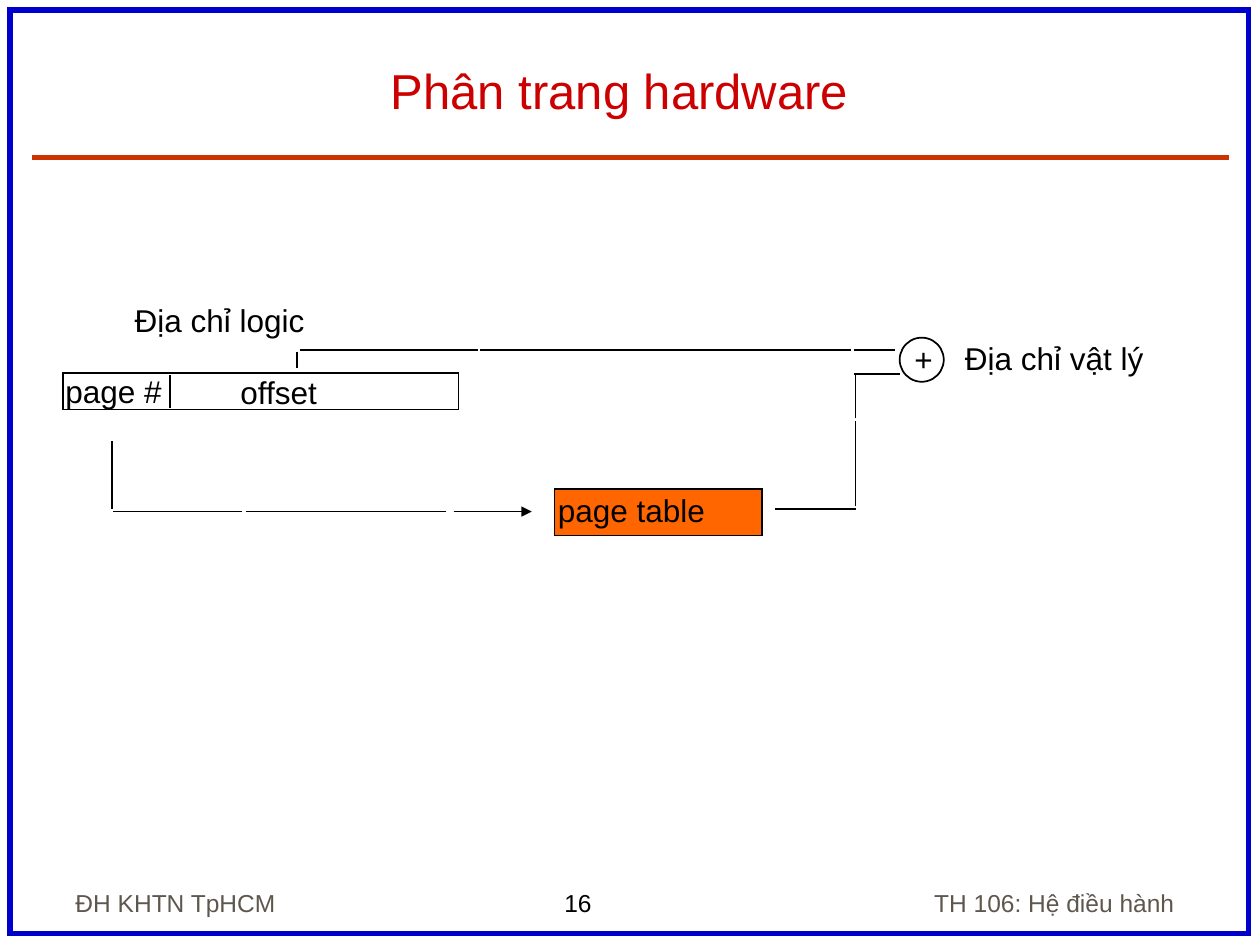
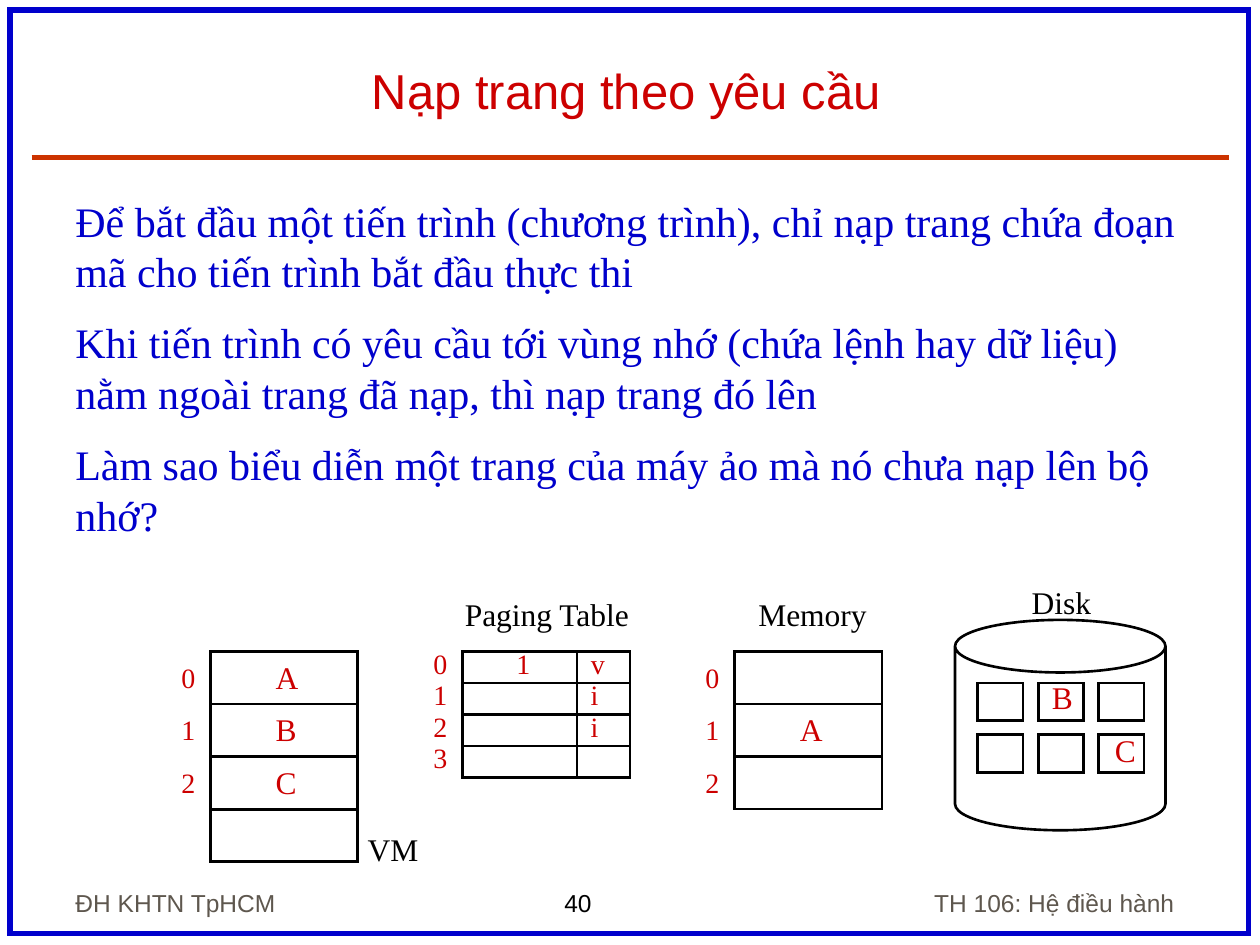
from dataclasses import dataclass

from lxml.etree import SubElement as Sub
from pptx import Presentation
from pptx.dml.color import RGBColor as Rgb
from pptx.enum.shapes import MSO_CONNECTOR as Conn, MSO_SHAPE as Kind
from pptx.enum.text import MSO_ANCHOR as Anchor, MSO_AUTO_SIZE as Fit
from pptx.enum.text import PP_ALIGN as Align
from pptx.oxml.ns import qn
from pptx.util import Inches, Pt


@dataclass(frozen=True)
class Theme:
    black: str = "000000"
    blue: str = "0000CC"
    red: str = "CC0000"
    rule: str = "CC3300"
    grey: str = "5E574E"
    orange: str = "FF6600"
    sans: str = "Arial"
    serif: str = "Times New Roman"
    title: int = 28
    body: int = 24
    label: int = 18
    index: int = 16
    foot: int = 14
    frame: float = 3
    thin: float = 1
    thick: float = 1.5


T = Theme()


def apply(item, values):
    for name, value in values.items():
        setattr(item, name, value)


def ink(line, color, width):
    line.color.rgb = Rgb.from_string(color)
    line.width = Pt(width)


def write(slide, box, text, size=T.label, face=T.sans, color=T.black,
          wrap=False, anchor=Anchor.TOP, **para):
    """Add a text box; a list of strings gives one paragraph each."""
    frame = slide.shapes.add_textbox(*map(Inches, box)).text_frame
    apply(frame, {"word_wrap": wrap, "vertical_anchor": anchor,
                  "auto_size": Fit.NONE if wrap else Fit.SHAPE_TO_FIT_TEXT})
    parts = [text] if isinstance(text, str) else text
    for i, part in enumerate(parts):
        p = frame.paragraphs[0] if i == 0 else frame.add_paragraph()
        p.text = part
        apply(p, para)
        if i == 0:
            p.space_before = Pt(0)
        apply(p.font, {"size": Pt(size), "name": face})
        p.font.color.rgb = Rgb.from_string(color)


def draw(host, kind, box, width=T.thin, fill=None, color=T.black):
    shape = host.shapes.add_shape(kind, *map(Inches, box))
    shape.shadow.inherit = False
    if fill:
        shape.fill.solid()
        shape.fill.fore_color.rgb = Rgb.from_string(fill)
    else:
        shape.fill.background()
    ink(shape.line, color, width)
    Sub(shape._element.spPr.find(qn("a:ln")), qn("a:miter"), lim="800000")
    return shape


def link(slide, ends, width=T.thin, color=T.black, arrow=False):
    line = slide.shapes.add_connector(Conn.STRAIGHT, *map(Inches, ends))
    ink(line.line, color, width)
    props = line._element.spPr
    if arrow:
        Sub(props.find(qn("a:ln")), qn("a:tailEnd"), type="triangle")
    Sub(props, qn("a:effectLst"))


def start(deck, title, number):
    """Add a slide with the shared frame, rule, title and footers."""
    slide = deck.slides.add_slide(deck.slide_layouts[6])
    write(slide, (4.38, 7, 0.42, 0.34), number, T.foot)
    draw(slide, Kind.RECTANGLE, (0.08, 0.08, 9.83, 7.33), T.frame, color=T.blue)
    link(slide, (0.25, 1.25, 9.75, 1.25), T.frame, T.rule)
    foot = {"size": T.foot, "color": T.grey, "wrap": True,
            "anchor": Anchor.BOTTOM}
    write(slide, (0.5, 6.83, 2.08, 0.5), "ĐH KHTN TpHCM", **foot)
    write(slide, (6.67, 6.83, 2.75, 0.5), "TH 106: Hệ điều hành",
          alignment=Align.RIGHT, **foot)
    write(slide, (0.44, 0.25, 9.06, 0.75), title, T.title, color=T.red,
          wrap=True, anchor=Anchor.BOTTOM, alignment=Align.CENTER)
    return slide


def logic(slide, box):
    """Logical address: page number and offset side by side."""
    x, y, w, h = box
    draw(slide, Kind.RECTANGLE, box)
    link(slide, (x + 0.85, y + 0.02, x + 0.85, y + h - 0.01))
    write(slide, (x - 0.08, y - 0.06, 0.98, 0.4), "page #")
    write(slide, (x + 1.31, y - 0.05, 0.81, 0.4), "offset")
    write(slide, (x + 0.47, y - 0.62, 1.55, 0.4), "Địa chỉ logic")


def table(slide, box):
    x, y, w, h = box
    draw(slide, Kind.RECTANGLE, box, fill=T.orange)
    write(slide, (x - 0.07, y - 0.03, 1.37, 0.4), "page table")


def adder(slide, box):
    """Plus sign in a circle, and the address it yields."""
    x, y, w, h = box
    draw(slide, Kind.OVAL, box)
    write(slide, (x + 0.02, y - 0.03, 0.34, 0.4), "+")
    write(slide, (x + 0.42, y - 0.04, 1.62, 0.4), "Địa chỉ vật lý")


def wires(slide):
    offset = [(2.36, 2.79, 2.36, 2.92), (2.38, 2.78, 3.79, 2.78),
              (3.81, 2.78, 6.75, 2.78), (6.78, 2.78, 7.1, 2.78)]
    page = [(0.89, 3.5, 0.89, 4.04), (0.9, 4.06, 1.92, 4.06),
            (1.95, 4.06, 3.54, 4.06)]
    entry = [(6.15, 4.04, 6.79, 4.04), (6.79, 4.02, 6.79, 3.34),
             (6.79, 3.32, 6.79, 2.96), (6.78, 2.97, 7.14, 2.97)]
    for ends in offset + page + entry:
        link(slide, ends)
    link(slide, (3.6, 4.06, 4.22, 4.06), arrow=True)


def stack(slide, box, rows, marks, cells, drop=0.02, split=None):
    """Ruled box with row marks at its left; cells are (row, dx, dy, text, size)."""
    x, y, w, h = box
    step = h / rows
    draw(slide, Kind.RECTANGLE, box, T.thick)
    for row in range(1, rows):
        link(slide, (x, y + row * step, x + w, y + row * step), T.thick)
    if split:
        link(slide, (x + split, y, x + split, y + h), T.thick)
    red = {"face": T.serif, "color": T.red}
    for row in range(marks):
        write(slide, (x - 0.33, y + row * step + drop, 0.31, 0.37),
              str(row), T.index, **red)
    for row, dx, dy, text, size in cells:
        wide = 0.26 if text == "i" else 0.31 if size == T.index else 0.37
        write(slide, (x + dx, y + row * step + dy, wide, 0.4), text, size, **red)


def disk(slide, box):
    x, y, w, h = box
    group = slide.shapes.add_group_shape()
    can = draw(group, Kind.CAN, box, T.thick)
    can.adjustments[0] = 0.25
    for row in range(2):
        for col in range(3):
            draw(group, Kind.RECTANGLE,
                 (x + 0.18 + col * 0.48, y + 0.5 + row * 0.41, 0.36, 0.3),
                 T.thick)
    for dx, dy, text in [(0.67, 0.41, "B"), (1.17, 0.83, "C")]:
        write(slide, (x + dx, y + dy, 0.36, 0.4), text,
              face=T.serif, color=T.red)


def hardware(deck):
    slide = start(deck, "Phân trang hardware ", "16")
    logic(slide, (0.5, 2.96, 3.14, 0.29))
    table(slide, (4.4, 3.88, 1.65, 0.37))
    adder(slide, (7.14, 2.68, 0.35, 0.35))
    wires(slide)


def demand(deck):
    slide = start(deck, "Nạp trang theo yêu cầu", "40")
    write(slide, (0.5, 1.5, 8.94, 5.13), [
        "Để bắt đầu một tiến trình (chương trình), chỉ nạp trang chứa đoạn "
        "mã cho tiến trình bắt đầu thực thi",
        "Khi tiến trình có yêu cầu tới vùng nhớ (chứa lệnh hay dữ liệu) "
        "nằm ngoài trang đã nạp, thì nạp trang đó lên",
        "Làm sao biểu diễn một trang của máy ảo mà nó chưa nạp lên bộ nhớ?",
    ], T.body, T.serif, T.blue, wrap=True, space_before=Pt(12))
    stack(slide, (1.67, 5.17, 1.17, 1.67), 4, 3,
          [(row, 0.42, 0, page, T.label) for row, page in enumerate("ABC")])
    bits = [(row, 0.92, -0.09, bit, T.index) for row, bit in enumerate("vii")]
    stack(slide, (3.67, 5.17, 1.33, 1), 4, 4,
          [(0, 0.33, -0.09, "1", T.index)] + bits, drop=-0.09, split=0.91)
    stack(slide, (5.83, 5.17, 1.17, 1.25), 3, 3, [(1, 0.42, 0, "A", T.label)])
    disk(slide, (7.58, 4.92, 1.67, 1.67))
    for x, y, w, name in [(2.82, 6.54, 0.6, "VM"),
                          (3.59, 4.67, 1.52, "Paging Table"),
                          (5.92, 4.67, 1.06, "Memory"),
                          (8.09, 4.58, 0.67, "Disk")]:
        write(slide, (x, y, w, 0.4), name, face=T.serif)


def main():
    deck = Presentation()
    apply(deck, {"slide_width": Inches(10), "slide_height": Inches(7.5)})
    hardware(deck)
    demand(deck)
    deck.save("out.pptx")


if __name__ == "__main__":
    main()
